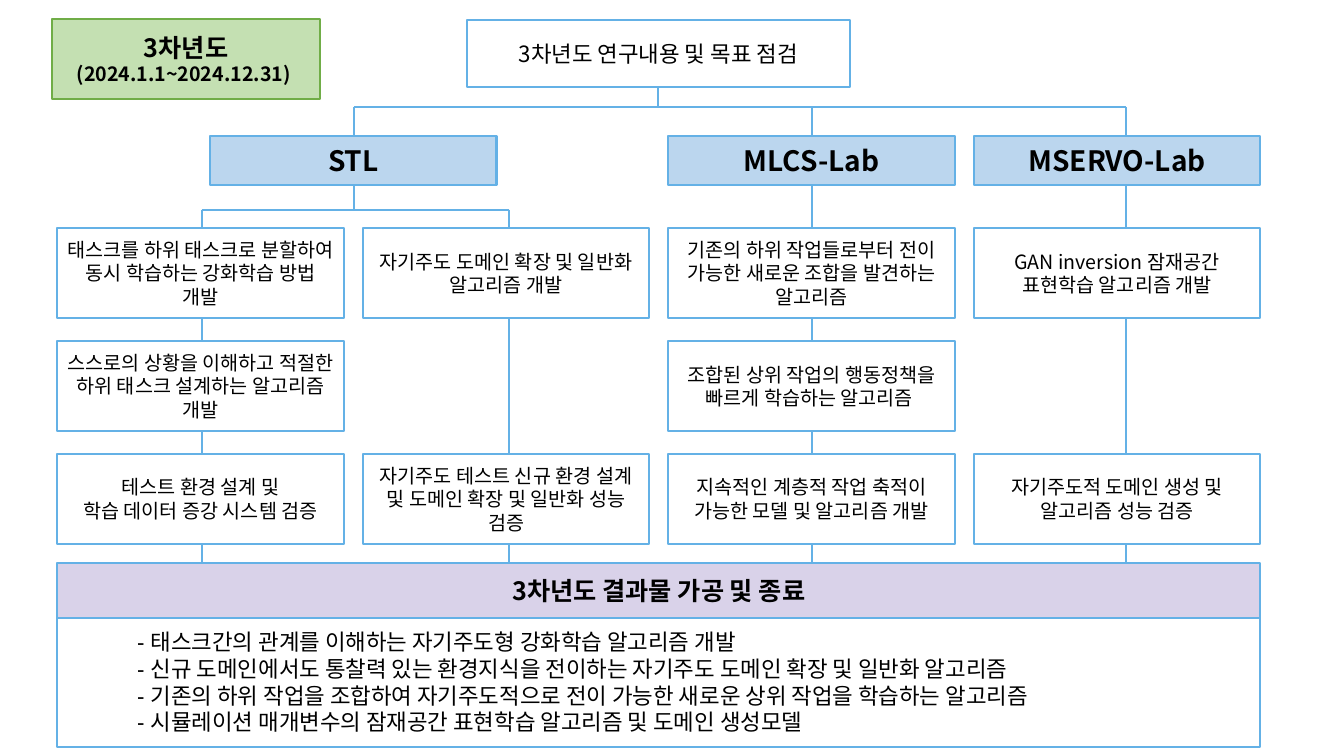
from pptx import Presentation, util as u
from pptx.dml.color import RGBColor
from pptx.enum import shapes, text
from pptx.oxml.ns import qn
from lxml import etree

BLACK = RGBColor(0x00, 0x00, 0x00)
WHITE = RGBColor(0xFF, 0xFF, 0xFF)
SKY = RGBColor(0x64, 0xB1, 0xE6)
PALE_BLUE = RGBColor(0xBB, 0xD6, 0xEE)
LILAC = RGBColor(0xD9, 0xD2, 0xE9)
PALE_GREEN = RGBColor(0xC4, 0xE0, 0xB2)
GREEN = RGBColor(0x70, 0xAD, 0x47)
FONT = "Noto Sans CJK KR"

# Grid in inches: four task columns, three task rows
LEFT, COL_STEP, COL_W = 0.57, 3.03, 2.84
TOP, ROW_STEP, ROW_H = 2.26, 1.12, 0.9
FULL_W = 3 * COL_STEP + COL_W
HEAD_Y, HEAD_H = 1.35, 0.49
RESULT_Y, RESULT_H = 5.59, 0.54
BUS_Y, STL_BUS_Y = 1.06, 2.08

prs = Presentation()
prs.slide_width, prs.slide_height = u.Inches(13.33), u.Inches(7.5)
slide = prs.slides.add_slide(prs.slide_layouts[6])


def add_box(x, y, w, h, lines, size=14, bold=False, fill=WHITE, edge=SKY,
            align=text.PP_ALIGN.CENTER, font=FONT):
    """Draw a bordered box; each line is a string or a (string, size) pair."""
    box = slide.shapes.add_shape(shapes.MSO_SHAPE.RECTANGLE,
                                 *map(u.Inches, (x, y, w, h)))
    box.shadow.inherit = False
    box.fill.solid()
    box.fill.fore_color.rgb = fill
    box.line.color.rgb = edge
    box.line.width = u.Pt(1.5)
    frame = box.text_frame
    frame.word_wrap = True
    frame.vertical_anchor = text.MSO_ANCHOR.MIDDLE
    for i, line in enumerate(lines):
        words, points = line if isinstance(line, tuple) else (line, size)
        para = frame.paragraphs[0] if i == 0 else frame.add_paragraph()
        para.alignment = align
        run = para.add_run()
        run.text = words
        run.font.size = u.Pt(points)
        run.font.bold = bold
        run.font.color.rgb = BLACK
        run.font.name = font
        etree.SubElement(run.font._element, qn("a:ea"), typeface=FONT)
    return frame


def add_link(x1, y1, x2, y2):
    link = slide.shapes.add_connector(shapes.MSO_CONNECTOR.STRAIGHT,
                                      *map(u.Inches, (x1, y1, x2, y2)))
    link.line.color.rgb = SKY
    link.line.width = u.Pt(1.5)
    etree.SubElement(link._element.spPr, qn("a:effectLst"))


# Connectors lie behind the boxes
stl_x, task_xs = 3.51, (2.0, 5.05, 8.05, 11.17)
add_link(6.53, 0.85, 6.53, BUS_Y)
add_link(stl_x, BUS_Y, task_xs[3], BUS_Y)
add_link(stl_x, BUS_Y, stl_x, STL_BUS_Y)
add_link(task_xs[0], STL_BUS_Y, task_xs[1], STL_BUS_Y)
for x, start in zip(task_xs, (STL_BUS_Y, STL_BUS_Y, BUS_Y, BUS_Y)):
    add_link(x, start, x, RESULT_Y)

# Year and starting point
add_box(0.52, 0.19, 2.65, 0.79, [("3차년도", 18), ("(2024.1.1~2024.12.31) ", 14)],
        bold=True, fill=PALE_GREEN, edge=GREEN)
add_box(4.63, 0.2, 3.8, 0.66, ["3차년도 연구내용 및 목표 점검"], size=16)

# Teams; the first one spans two columns
for team, column in (("STL", 0.5), ("MLCS-Lab", 2), ("MSERVO-Lab", 3)):
    add_box(LEFT + column * COL_STEP, HEAD_Y, COL_W, HEAD_H, [team],
            size=20, bold=True, fill=PALE_BLUE)

# Tasks by column, then by row
tasks = [
    [["태스크를 하위 태스크로 분할하여 동시 학습하는 강화학습 방법 개발"],
     ["스스로의 상황을 이해하고 적절한 하위 태스크 설계하는 알고리즘 개발"],
     ["테스트 환경 설계 및", "학습 데이터 증강 시스템 검증"]],
    [["자기주도 도메인 확장 및 일반화 알고리즘 개발"],
     None,
     ["자기주도 테스트 신규 환경 설계 및 도메인 확장 및 일반화 성능 검증"]],
    [["기존의 하위 작업들로부터 전이 가능한 새로운 조합을 발견하는 알고리즘"],
     ["조합된 상위 작업의 행동정책을 빠르게 학습하는 알고리즘 "],
     ["지속적인 계층적 작업 축적이 가능한 모델 및 알고리즘 개발"]],
    [["GAN inversion 잠재공간", "표현학습 알고리즘 개발"],
     None,
     ["자기주도적 도메인 생성 및 알고리즘 성능 검증"]],
]
for column, column_tasks in enumerate(tasks):
    for row, task in enumerate(column_tasks):
        if task:
            add_box(LEFT + column * COL_STEP, TOP + row * ROW_STEP,
                    COL_W, ROW_H, task)

# Results
add_box(LEFT, RESULT_Y, FULL_W, RESULT_H, ["3차년도 결과물 가공 및 종료"],
        size=18, bold=True, fill=LILAC)
results = add_box(LEFT, RESULT_Y + RESULT_H, FULL_W, 1.28, [
    "- 태스크간의 관계를 이해하는 자기주도형 강화학습 알고리즘 개발",
    "- 신규 도메인에서도 통찰력 있는 환경지식을 전이하는 자기주도 도메인 확장 및 일반화 알고리즘",
    "- 기존의 하위 작업을 조합하여 자기주도적으로 전이 가능한 새로운 상위 작업을 학습하는 알고리즘",
    "- 시뮬레이션 매개변수의 잠재공간 표현학습 알고리즘 및 도메인 생성모델",
], size=16, align=text.PP_ALIGN.LEFT, font="Arial")
results.vertical_anchor = text.MSO_ANCHOR.TOP
results.margin_left = results.margin_right = u.Inches(0.79)
results.margin_top = results.margin_bottom = u.Inches(0.1)

prs.save("out.pptx")
